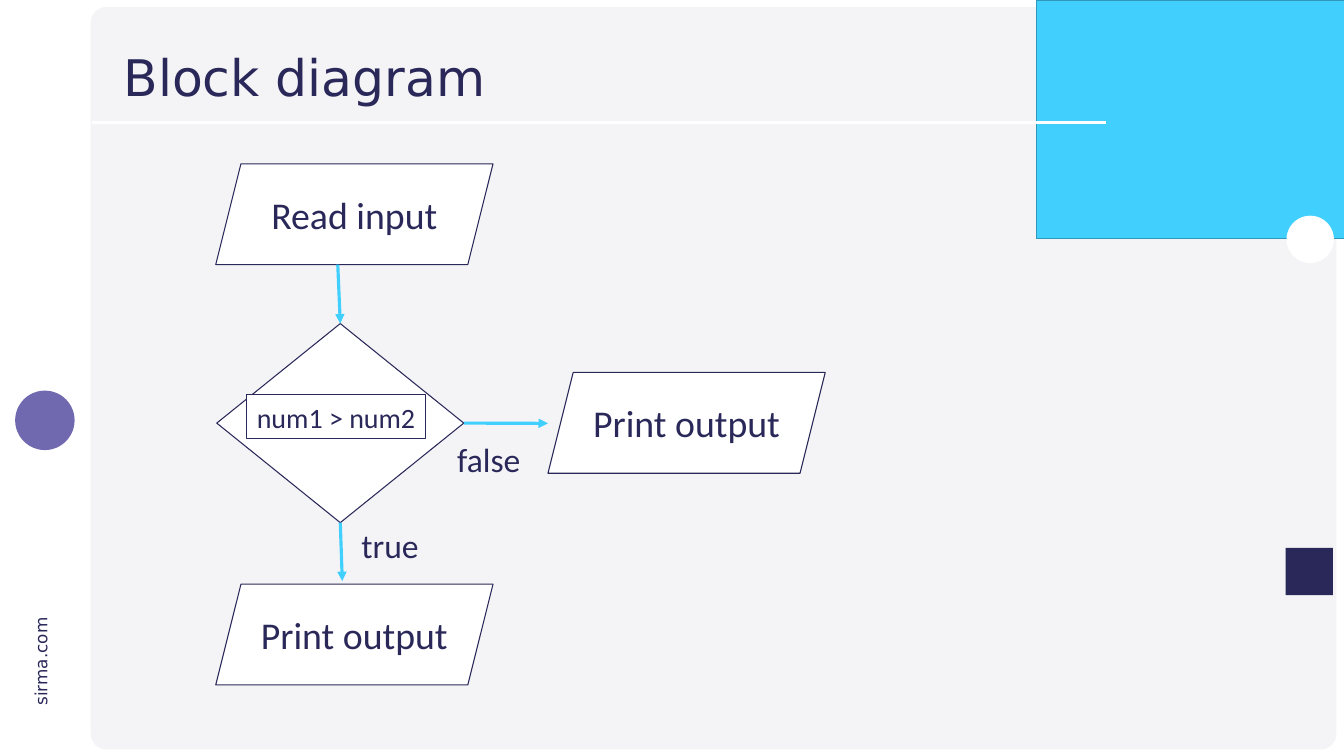
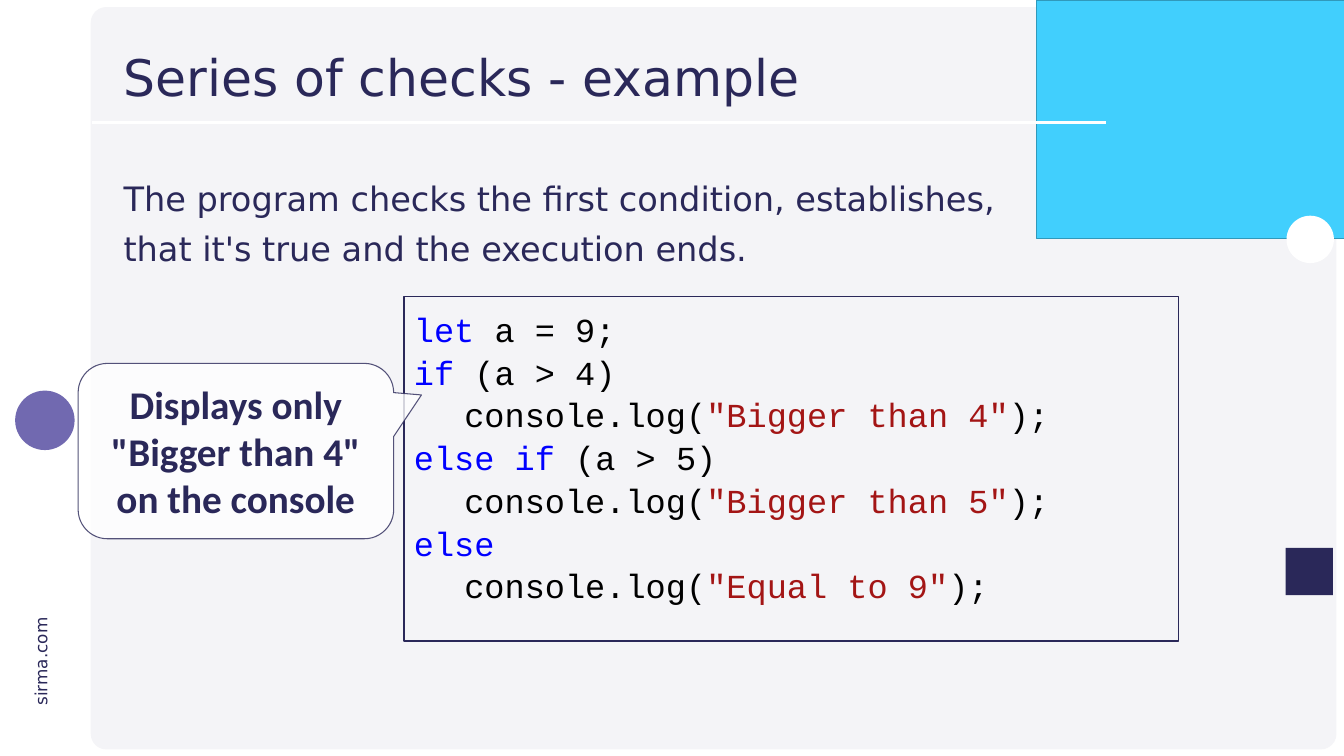
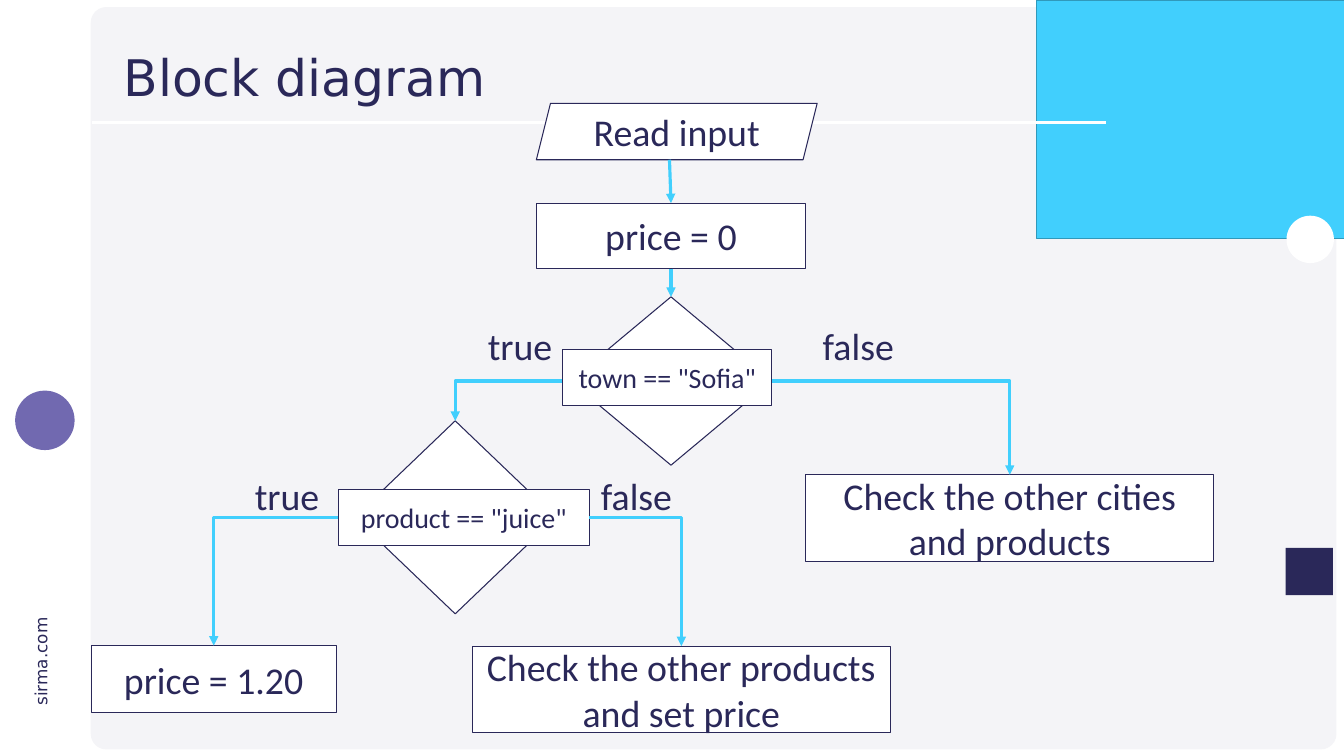
from pptx import Presentation
from pptx.dml.color import RGBColor
from pptx.enum.shapes import MSO_CONNECTOR, MSO_SHAPE
from pptx.enum.text import MSO_ANCHOR, MSO_AUTO_SIZE, PP_ALIGN
from pptx.oxml.ns import qn
from pptx.oxml.xmlchemy import OxmlElement
from pptx.util import Inches, Pt

# Slide grid: one column and one row measure one inch
COLUMNS, ROWS = 26.66, 15

NAVY = RGBColor(0x2A, 0x28, 0x59)
CYAN = RGBColor(0x41, 0xCF, 0xFD)
DARK_CYAN = RGBColor(0x30, 0x99, 0xBB)
PURPLE = RGBColor(0x71, 0x69, 0xB0)
PANEL = RGBColor(0xF4, 0xF4, 0xF7)
WHITE = RGBColor(0xFF, 0xFF, 0xFF)
BLACK = RGBColor(0, 0, 0)
KEYWORD = RGBColor(0, 0, 0xFF)
STRING = RGBColor(0xA3, 0x15, 0x15)

HEADING_FONT, DIAGRAM_FONT, CODE_FONT = "DejaVu Sans", "Calibri", "Courier New"

RECTANGLE, ROUNDED = MSO_SHAPE.RECTANGLE, MSO_SHAPE.ROUNDED_RECTANGLE
OVAL, DIAMOND = MSO_SHAPE.OVAL, MSO_SHAPE.DIAMOND
PARALLELOGRAM = MSO_SHAPE.PARALLELOGRAM
CALLOUT = MSO_SHAPE.ROUNDED_RECTANGULAR_CALLOUT
STRAIGHT, ELBOW = MSO_CONNECTOR.STRAIGHT, MSO_CONNECTOR.ELBOW
LEFT, CENTER = PP_ALIGN.LEFT, PP_ALIGN.CENTER
TOP_ANCHOR, MIDDLE = MSO_ANCHOR.TOP, MSO_ANCHOR.MIDDLE
FIXED, GROW = MSO_AUTO_SIZE.NONE, MSO_AUTO_SIZE.SHAPE_TO_FIT_TEXT
TOP, LEFT_SIDE, BOTTOM, RIGHT_SIDE = range(4)

TITLE_AREA = (2.35, 0.8, 19.57, 1.58)
BODY_AREA = (2.35, 3.57, 22.99, 10.32)


def grid(*cells):
    return [Inches(cell) for cell in cells]


def write_text(shape, paragraphs, size=54, font=DIAGRAM_FONT, color=NAVY, bold=False,
               align=LEFT, anchor=TOP_ANCHOR, spacing=None, before=0, insets=(0.1, 0.05),
               wrap=True, fit=FIXED):
    """Fill a shape; a paragraph is a string or a list of (text, colour) runs."""
    frame = shape.text_frame
    frame.word_wrap, frame.auto_size, frame.vertical_anchor = wrap, fit, anchor
    frame.margin_left = frame.margin_right = Inches(insets[0])
    frame.margin_top = frame.margin_bottom = Inches(insets[1])
    for index, runs in enumerate(paragraphs):
        paragraph = frame.add_paragraph() if index else frame.paragraphs[0]
        paragraph.alignment = align
        if spacing:
            paragraph.line_spacing = spacing
        paragraph.space_before = Pt(before if index else 0)
        for text, run_color in [(runs, color)] if isinstance(runs, str) else runs:
            run = paragraph.add_run()
            run.text = text
            run.font.size, run.font.name, run.font.bold = Pt(size), font, bold
            run.font.color.rgb = run_color


def add_shape(slide, kind, area, fill=WHITE, outline=None, width=1.5):
    shape = slide.shapes.add_shape(kind, *grid(*area))
    shape.shadow.inherit = False
    if fill is None:
        shape.fill.background()
    else:
        shape.fill.solid()
        shape.fill.fore_color.rgb = fill
    if outline is None:
        shape.line.fill.background()
    else:
        shape.line.color.rgb = outline
        shape.line.width = Pt(width)
    return shape


def add_block(slide, kind, area, *paragraphs, **text_format):
    block = add_shape(slide, kind, area, outline=NAVY)
    if paragraphs:
        write_text(block, paragraphs, align=CENTER, anchor=MIDDLE, insets=(0.2, 0.1),
                   **text_format)
    return block


def add_label(slide, area, text, **text_format):
    label = slide.shapes.add_textbox(*grid(*area))
    write_text(label, [text], fit=GROW, **text_format)
    return label


def add_line(slide, kind, start, end, color, width):
    line = slide.shapes.add_connector(kind, *start, *end)
    line.line.color.rgb = color
    line.line.width = Pt(width)
    line.element.spPr.append(OxmlElement("a:effectLst"))
    return line


def side_point(shape, side):
    x = shape.left + {LEFT_SIDE: 0, RIGHT_SIDE: shape.width}.get(side, shape.width // 2)
    y = shape.top + {TOP: 0, BOTTOM: shape.height}.get(side, shape.height // 2)
    return x, y


def add_arrow(slide, start, end, kind=STRAIGHT):
    """Draw an arrow; each end is a (shape, side) pair or a grid point."""
    joined = [hasattr(place[0], "shape_id") for place in (start, end)]
    points = [side_point(*place) if is_shape else grid(*place)
              for place, is_shape in zip((start, end), joined)]
    arrow = add_line(slide, kind, *points, CYAN, 4.5)
    head = OxmlElement("a:tailEnd")
    head.set("type", "triangle")
    arrow.element.spPr.find(qn("a:ln")).append(head)
    if kind == ELBOW:  # one corner: across, then down
        arrow.element.spPr.find(qn("a:prstGeom")).set("prst", "bentConnector2")
        return
    if joined[0]:
        arrow.begin_connect(*start)
    if joined[1]:
        arrow.end_connect(*end)


def set_opacity(shape, percent):
    for color in shape.element.spPr.iter(qn("a:srgbClr")):
        alpha = OxmlElement("a:alpha")
        alpha.set("val", str(percent * 1000))
        color.append(alpha)


def build_master(presentation, slide):
    """Draw the shared decoration, then move it to the slide master."""
    panel = add_shape(slide, ROUNDED, (1.8, 0.14, 24.71, 14.73), PANEL)
    panel.adjustments[0] = 0.021
    address = add_label(slide, (-0.18, 12.86, 1.97, 0.5), "sirma.com", size=24,
                        font=HEADING_FONT, wrap=False)
    address.rotation = 270
    add_shape(slide, RECTANGLE, (20.56, 0, 6.1, 4.73), CYAN, DARK_CYAN, 1)
    add_shape(slide, RECTANGLE, (1.83, 0.53, 18.34, 2.38), PANEL)
    add_line(slide, STRAIGHT, grid(1.83, 2.43), grid(21.93, 2.43), WHITE, 3)
    add_shape(slide, RECTANGLE, (25.5, 10.87, 0.94, 0.94), NAVY)
    add_shape(slide, OVAL, (0.3, 7.75, 1.18, 1.18), PURPLE)
    add_shape(slide, OVAL, (25.52, 4.28, 0.94, 0.94), WHITE)
    decoration = [shape for shape in slide.shapes if not shape.is_placeholder]
    for number, shape in enumerate(decoration, 100):
        shape.element.xpath("./*/p:cNvPr")[0].set("id", str(number))
        presentation.slide_master.shapes.element.append(shape.element)


def fill_placeholder(placeholder, area, paragraphs, **text_format):
    placeholder.left, placeholder.top, placeholder.width, placeholder.height = grid(*area)
    write_text(placeholder, paragraphs, font=HEADING_FONT, spacing=0.9, **text_format)


def add_slide(presentation, layout_name, title):
    layout = presentation.slide_layouts.get_by_name(layout_name)
    slide = presentation.slides.add_slide(layout)
    fill_placeholder(slide.shapes.title, TITLE_AREA, [title], size=72, anchor=MIDDLE)
    return slide


def build_comparison(slide):
    read = add_block(slide, PARALLELOGRAM, (4.28, 3.25, 5.5, 2), "Read input")
    check = add_block(slide, DIAMOND, (4.3, 6.42, 4.9, 3.95))
    add_block(slide, RECTANGLE, (4.89, 7.83, 3.55, 0.88), "num1 > num2", size=40)
    add_block(slide, PARALLELOGRAM, (4.28, 11.59, 5.5, 2), "Print output")
    add_block(slide, PARALLELOGRAM, (10.87, 7.39, 5.5, 2), "Print output")
    add_arrow(slide, (6.7, 5.25), (check, TOP))
    add_arrow(slide, (check, BOTTOM), (6.79, 11.53))
    add_arrow(slide, (check, RIGHT_SIDE), (10.87, 8.4))
    for left, top, text in [(6.86, 10.09, "true"), (8.76, 8.38, "false")]:
        add_label(slide, (left, top, 2.16, 1.32), text, size=48, spacing=1.1,
                  insets=(0.31, 0.24))


def log_call(message):
    return [("console.log(", BLACK), (f'"{message}"', STRING), (");", BLACK)]


def build_checks(slide):
    body = slide.placeholders[1]
    fill_placeholder(body, BODY_AREA,
                     ["The program checks the first condition, establishes,",
                      "that it's true and the execution ends."], size=48, before=20)
    for paragraph in body.text_frame.paragraphs:
        properties = paragraph._p.get_or_add_pPr()
        properties.set("marL", "0")
        properties.set("indent", "0")
        properties.append(OxmlElement("a:buNone"))

    # Code listing with indented calls
    code = [
        [("let", KEYWORD), (" a = 9;", BLACK)],
        [("if", KEYWORD), (" (a > 4)", BLACK)],
        log_call("Bigger than 4"),
        [("else if", KEYWORD), (" (a > 5)", BLACK)],
        log_call("Bigger than 5"),
        [("else", KEYWORD)],
        log_call("Equal to 9"),
    ]
    listing = add_shape(slide, RECTANGLE, (8.01, 5.88, 15.37, 6.84), None, NAVY, 2.25)
    write_text(listing, code, size=48, font=CODE_FONT, spacing=1.06, insets=(0.2, 0.2))
    for paragraph in listing.text_frame.paragraphs:
        if paragraph.text.startswith("console"):
            paragraph._p.get_or_add_pPr().set("marL", str(Inches(1)))

    callout = add_block(slide, CALLOUT, (1.55, 7.21, 6.26, 3.48),
                        'Displays only "Bigger than 4" on the console', size=56, bold=True)
    for index, value in enumerate((0.588, -0.32, 0.167)):
        callout.adjustments[index] = value
    set_opacity(callout, 80)


def build_prices(slide):
    # Blocks
    add_block(slide, PARALLELOGRAM, (10.64, 2.05, 5.57, 1.12), "Read input")
    start_price = add_block(slide, RECTANGLE, (10.64, 4.03, 5.34, 1.3), "price = 0")
    juice_price = add_block(slide, RECTANGLE, (1.81, 12.81, 4.86, 1.33), "price = 1.20")
    other_cities = add_block(slide, RECTANGLE, (15.98, 9.42, 8.1, 1.72),
                             "Check the other cities", "and products")
    other_products = add_block(slide, RECTANGLE, (9.37, 12.82, 8.29, 1.71),
                               "Check the other products", "and set price")
    town = add_block(slide, DIAMOND, (11.31, 5.89, 4, 3.34))
    product = add_block(slide, DIAMOND, (7.03, 8.35, 4, 3.83))
    product_test = add_block(slide, RECTANGLE, (6.71, 9.71, 4.98, 1.11),
                             'product == "juice"', size=40)

    # Arrows
    add_arrow(slide, (13.28, 3.17), (start_price, TOP))
    add_arrow(slide, (start_price, BOTTOM), (town, TOP))
    for source, side, target in [(town, LEFT_SIDE, product),
                                 (town, RIGHT_SIDE, other_cities),
                                 (product_test, LEFT_SIDE, juice_price),
                                 (product_test, RIGHT_SIDE, other_products)]:
        add_arrow(slide, (source, side), (target, TOP), ELBOW)
    add_block(slide, RECTANGLE, (11.16, 6.94, 4.15, 1.11), 'town == "Sofia"', size=40)

    # Branch labels
    for left, top, width, text in [(9.37, 6.36, 1.89, "true"), (15.74, 6.36, 2.57, "false"),
                                   (4.84, 9.32, 1.71, "true"), (11.68, 9.32, 1.89, "false")]:
        add_label(slide, (left, top, width, 1.01), text, align=CENTER)


def main():
    presentation = Presentation()
    presentation.slide_width, presentation.slide_height = grid(COLUMNS, ROWS)
    comparison = add_slide(presentation, "Title Only", "Block diagram")
    build_master(presentation, comparison)
    build_comparison(comparison)
    build_checks(add_slide(presentation, "Title and Content", "Series of checks - example"))
    build_prices(add_slide(presentation, "Title Only", "Block diagram"))
    presentation.save("out.pptx")


if __name__ == "__main__":
    main()
